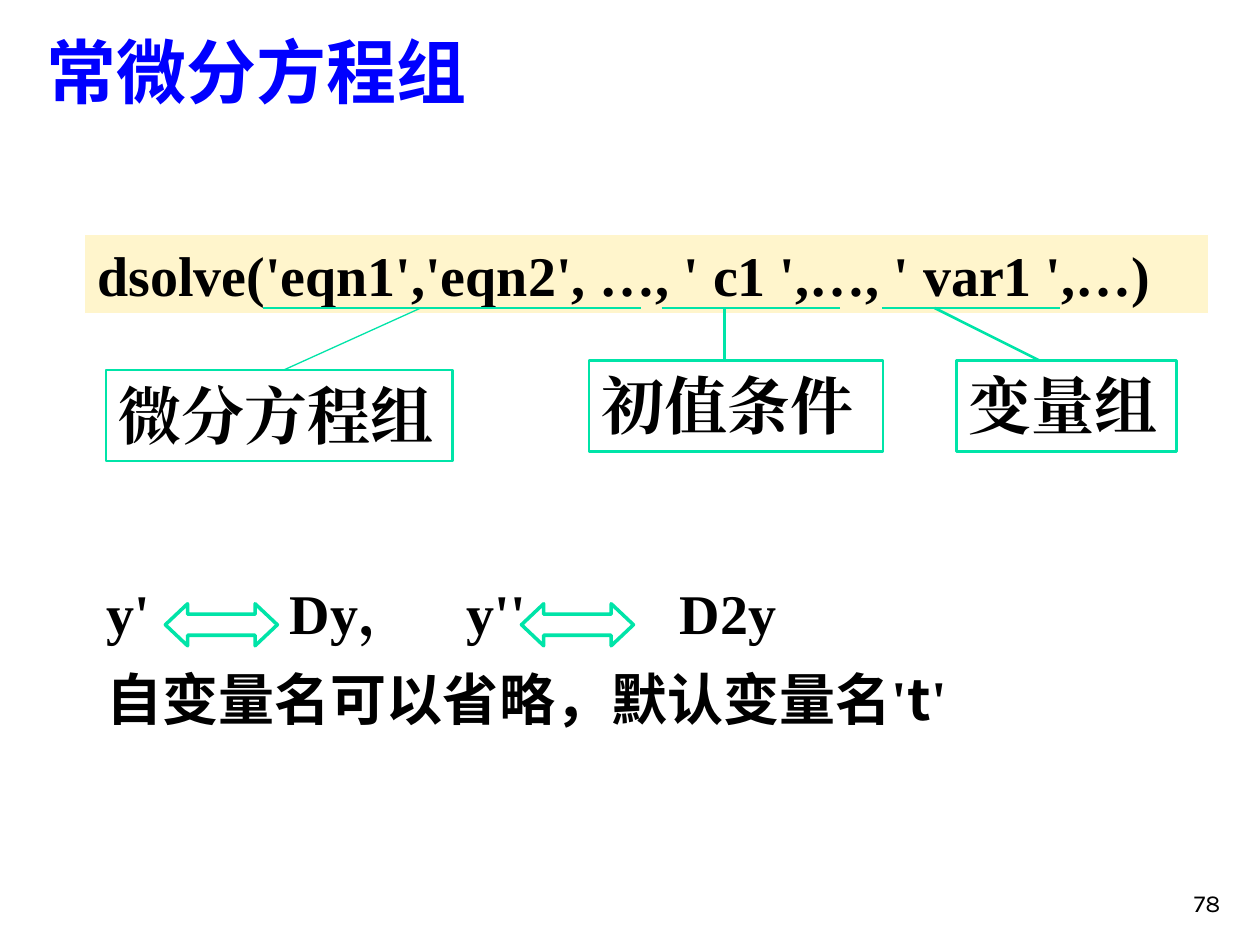
from lxml import etree
from pptx import Presentation
from pptx.dml.color import RGBColor
from pptx.enum import shapes, text
from pptx.oxml import ns
from pptx.util import Pt

BLACK = RGBColor(0, 0, 0)
WHITE = RGBColor(255, 255, 255)
BLUE = RGBColor(0, 0, 255)
CREAM = RGBColor(0xFF, 0xF5, 0xCC)
GREEN = RGBColor(0x00, 0xE4, 0xA8)
SERIF = "Times New Roman"
SANS = "Noto Sans CJK SC"


def style(paragraph, size, font=SERIF, color=BLACK, bold=True, before=4):
    paragraph.space_before = Pt(before)
    for span in paragraph.runs:
        span.font.size = Pt(size)
        span.font.name = font
        span.font.bold = bold
        span.font.color.rgb = color
        east_asian = etree.SubElement(span.font._element, ns.qn("a:ea"))
        east_asian.set("typeface", font)


def add_line(x1, y1, x2, y2, width):
    line = page.shapes.add_connector(
        shapes.MSO_CONNECTOR.STRAIGHT, Pt(x1), Pt(y1), Pt(x2), Pt(y2))
    line.line.color.rgb = GREEN
    line.line.width = Pt(width)
    etree.SubElement(line._element.spPr, ns.qn("a:effectLst"))


deck = Presentation()
deck.slide_width, deck.slide_height = Pt(720), Pt(540)
page = deck.slides.add_slide(deck.slide_layouts[5])

# Title
title = page.shapes.title
title.left, title.top, title.width, title.height = Pt(19.5), Pt(15), Pt(618), Pt(51)
title.text_frame.text = "常微分方程组"
title.text_frame.auto_size = text.MSO_AUTO_SIZE.NONE
title.text_frame.vertical_anchor = text.MSO_ANCHOR.MIDDLE
title.text_frame.paragraphs[0].alignment = text.PP_ALIGN.LEFT
style(title.text_frame.paragraphs[0], 40, "Arial", BLUE, before=0)

# Filled syntax bar and outlined labels
LABEL_HEIGHT = 52
for left, top, width, height, wording, size, fill, outline, weight in (
    (48.5, 134, 642, 45, "dsolve('eqn1','eqn2', …, ' c1 ',…, ' var1 ',…)", 32, CREAM, WHITE, 0.75),
    (60.5, 211.5, 198, LABEL_HEIGHT, "微分方程组", 36, None, GREEN, 1.5),
    (336.5, 206, 168, LABEL_HEIGHT, "初值条件", 36, None, GREEN, 1.5),
    (546.5, 206, 126, LABEL_HEIGHT, "变量组", 36, None, GREEN, 1.5),
):
    box = page.shapes.add_shape(
        shapes.MSO_SHAPE.RECTANGLE, Pt(left), Pt(top), Pt(width), Pt(height))
    box.shadow.inherit = False
    if fill is None:
        box.fill.background()
    else:
        box.fill.solid()
        box.fill.fore_color.rgb = fill
    box.line.color.rgb = outline
    box.line.width = Pt(weight)
    box.text_frame.text = wording
    box.text_frame.vertical_anchor = text.MSO_ANCHOR.TOP
    box.text_frame.paragraphs[0].alignment = text.PP_ALIGN.LEFT
    style(box.text_frame.paragraphs[0], size)

# Underlined arguments and their leaders to the labels
UNDERLINE = 176
for start, end, leader_x, label_x, label_top, weight in (
    (150.5, 366.5, 240.5, 162, 211.5, 0.75),
    (378, 480, 414, 414, 206, 1.5),
    (504, 606, 534, 594, 206, 1.5),
):
    add_line(start, UNDERLINE, end, UNDERLINE, 1.5)
    add_line(leader_x, UNDERLINE, label_x, label_top, weight)

# Notation and note on the default variable
notes = page.shapes.add_textbox(Pt(54), Pt(327), Pt(654), Pt(104.5)).text_frame
notes.word_wrap = True
notes.text = "y'\tDy，\ty''\tD2y"
notation = notes.paragraphs[0]
style(notation, 32)
tabs = etree.SubElement(notation._p.get_or_add_pPr(), ns.qn("a:tabLst"))
for position in (104.5, 205.5, 327.5):
    etree.SubElement(tabs, ns.qn("a:tab"), pos=str(Pt(position)), algn="l")

remark = notes.add_paragraph()
for wording in ("自变量名可以省略，默认变量名", "'", "t", "'"):
    remark.add_run().text = wording
style(remark, 32, SANS, before=11)
for quote in remark.runs[1::2]:
    quote.font.name = SERIF

# Equivalence arrows
for left in (94.5, 298):
    arrow = page.shapes.add_shape(
        shapes.MSO_SHAPE.LEFT_RIGHT_ARROW, Pt(left), Pt(345), Pt(64), Pt(24))
    arrow.adjustments[0], arrow.adjustments[1] = 0.5, 0.53
    arrow.shadow.inherit = False
    arrow.fill.background()
    arrow.line.color.rgb = GREEN
    arrow.line.width = Pt(2)

# Page number
number = page.shapes.add_textbox(Pt(554.5), Pt(492), Pt(150), Pt(36)).text_frame
number.word_wrap = True
number.text = "78"
number.vertical_anchor = text.MSO_ANCHOR.BOTTOM
number.paragraphs[0].alignment = text.PP_ALIGN.RIGHT
style(number.paragraphs[0], 14, "Karla", bold=False, before=0)

deck.save("out.pptx")
